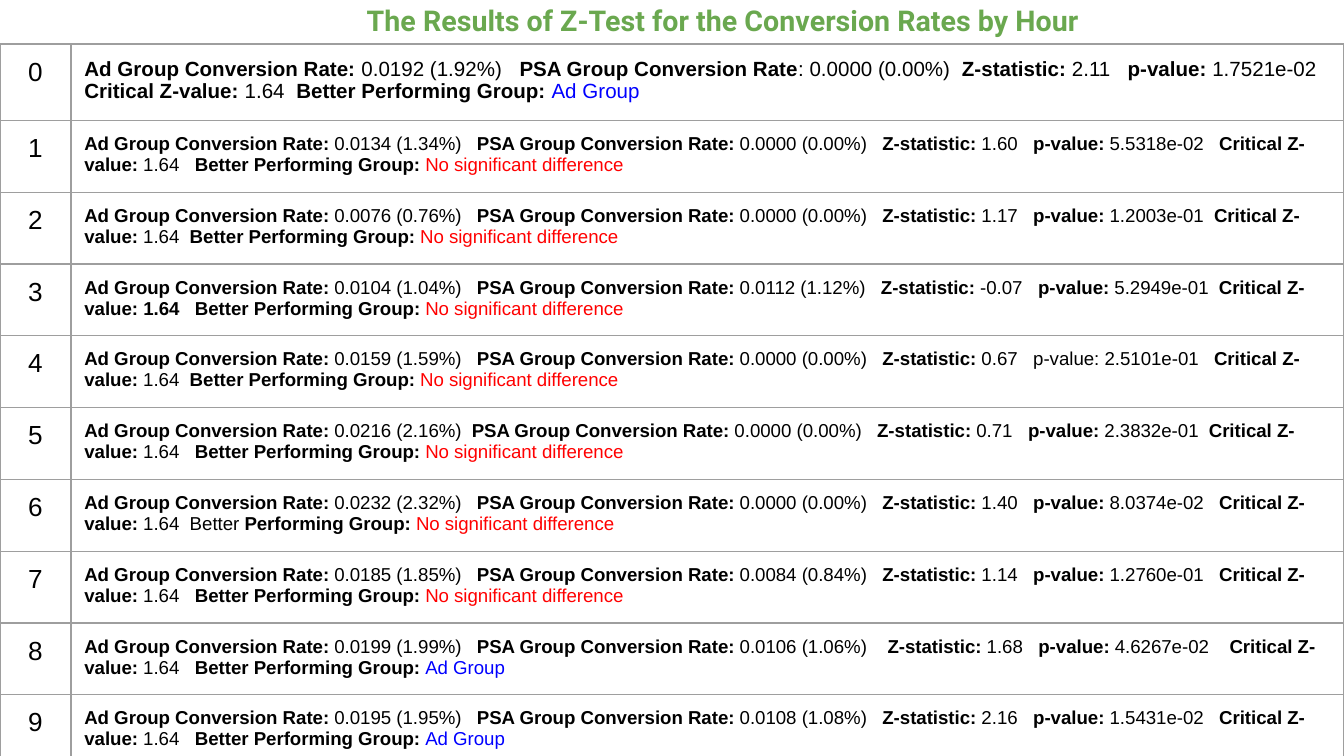
"""Build a slide with a table of hourly Z-test results."""
from lxml import etree
from pptx import Presentation
from pptx.dml.color import RGBColor
from pptx.enum.text import MSO_ANCHOR, PP_ALIGN
from pptx.oxml.ns import qn
from pptx.util import Pt

CENTER = PP_ALIGN.CENTER
MIDDLE = MSO_ANCHOR.MIDDLE
GREEN = RGBColor(0x6A, 0xA8, 0x4F)
BLACK = RGBColor(0, 0, 0)
BLUE = RGBColor(0, 0, 0xFF)
RED = RGBColor(0xFF, 0, 0)
GRAY = RGBColor(0x9E, 0x9E, 0x9E)

LABELS = ["Ad Group Conversion Rate:", "PSA Group Conversion Rate:", "Z-statistic:",
          "p-value:", "Critical Z-value:", "Better Performing Group:"]
LIMIT = 1.64
HOURS = [
    (0.0192, 0, 2.11, "1.7521e-02", (3, 2, 3, 2, 2)),
    (0.0134, 0, 1.60, "5.5318e-02", (3, 3, 3, 3, 3)),
    (0.0076, 0, 1.17, "1.2003e-01", (3, 3, 3, 2, 2)),
    (0.0104, 0.0112, -0.07, "5.2949e-01", (3, 3, 3, 2, 3)),
    (0.0159, 0, 0.67, "2.5101e-01", (3, 3, 3, 3, 2)),
    (0.0216, 0, 0.71, "2.3832e-01", (2, 3, 3, 2, 3)),
    (0.0232, 0, 1.40, "8.0374e-02", (3, 3, 3, 3, 2)),
    (0.0185, 0.0084, 1.14, "1.2760e-01", (3, 3, 3, 3, 3)),
    (0.0199, 0.0106, 1.68, "4.6267e-02", (3, 4, 3, 4, 3)),
    (0.0195, 0.0108, 2.16, "1.5431e-02", (3, 3, 3, 3, 3)),
]
BOLD = {(0, 1): "PSA Group Conversion Rate", (3, 4): "Critical Z-value: 1.64",
        (4, 3): "none", (6, 5): "Performing Group:"}


def add_run(para, text, size, bold=False, color=BLACK, font="Arial"):
    if text:
        run = para.add_run()
        run.text = text
        run.font.name = font
        run.font.size = Pt(size)
        run.font.bold = bold
        run.font.color.rgb = color


def style_cell(cell):
    cell.margin_left = cell.margin_right = Pt(7.2)
    cell.margin_top = cell.margin_bottom = Pt(7.2)
    props = cell._tc.get_or_add_tcPr()
    for side in ("a:lnL", "a:lnR", "a:lnT", "a:lnB"):
        line = etree.SubElement(props, qn(side), w=str(Pt(0.75)))
        fill = etree.SubElement(line, qn("a:solidFill"))
        etree.SubElement(fill, qn("a:srgbClr"), val=str(GRAY))
    cell.fill.background()


prs = Presentation()
prs.slide_width = Pt(720)
prs.slide_height = Pt(405)
slide = prs.slides.add_slide(prs.slide_layouts[6])

title = slide.shapes.add_textbox(Pt(113.8), Pt(0), Pt(547.2), Pt(21))
frame = title.text_frame
frame.word_wrap = True
frame.vertical_anchor = MIDDLE
frame.margin_top = frame.margin_bottom = Pt(0)
head = frame.paragraphs[0]
head.alignment = CENTER
add_run(head, "The Results of Z-Test for the Conversion Rates by Hour",
        15.3, True, GREEN, "Roboto")

holder = slide.shapes.add_table(len(HOURS), 2, Pt(0), Pt(23.6), Pt(720), Pt(381.4))
table = holder.table
table.first_row = False
table.horz_banding = False
table.columns[0].width = Pt(38)
table.columns[1].width = Pt(682)

for hour, (ad, psa, score, prob, gaps) in enumerate(HOURS):
    table.rows[hour].height = Pt(37.9 if hour else 40.3)
    left, right = table.cell(hour, 0), table.cell(hour, 1)
    style_cell(left)
    style_cell(right)
    para = left.text_frame.paragraphs[0]
    para.alignment = CENTER
    add_run(para, str(hour), 14)

    para = right.text_frame.paragraphs[0]
    size = 10 if hour else 11
    values = [f"{ad:.4f} ({ad:.2%})", f"{psa:.4f} ({psa:.2%})",
              f"{score:.2f}", prob, f"{LIMIT}", ""]
    for col, (label, value, gap) in enumerate(zip(LABELS, values, (*gaps, 0))):
        text = f"{label} {value}" + " " * gap
        before, strong, after = text.partition(BOLD.get((hour, col), label))
        add_run(para, before, size)
        add_run(para, strong, size, True)
        add_run(para, after, size)
    if score > LIMIT:
        add_run(para, "Ad Group", size, color=BLUE)
    else:
        add_run(para, "No significant difference", size, color=RED)

prs.save("out.pptx")
